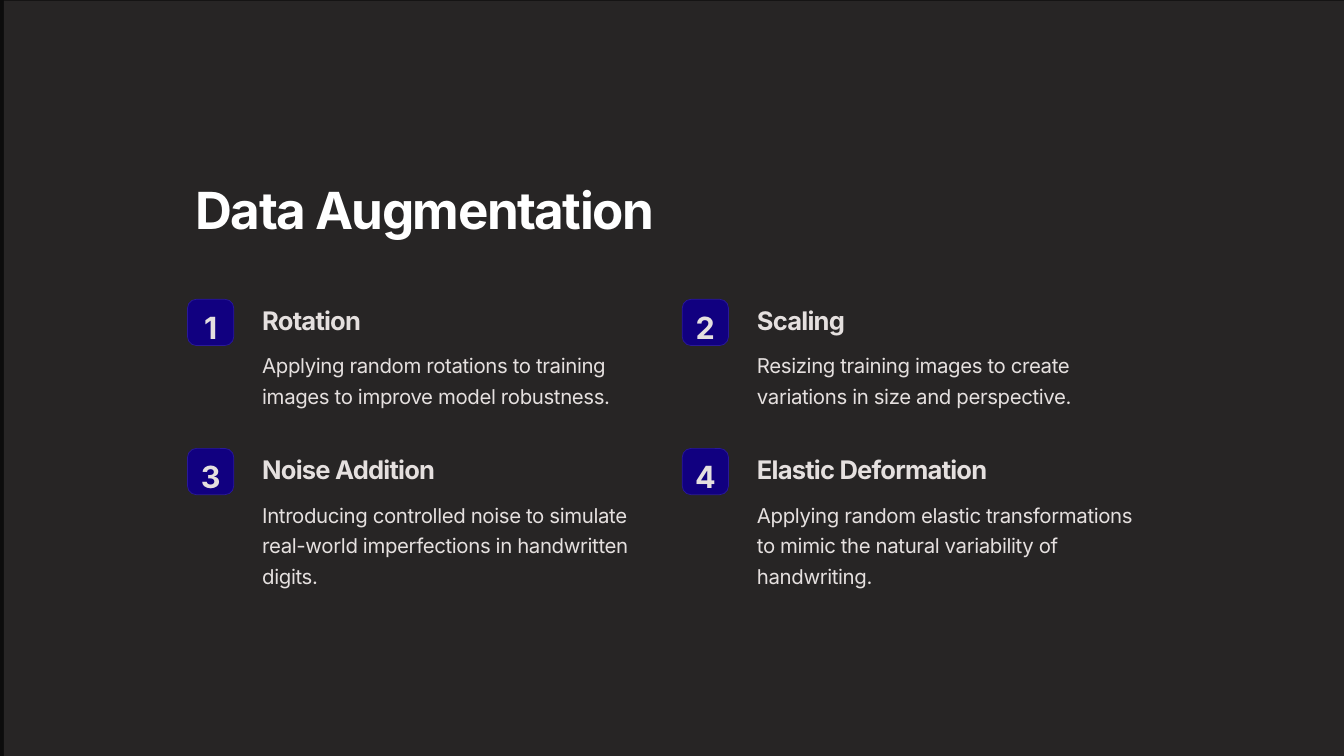
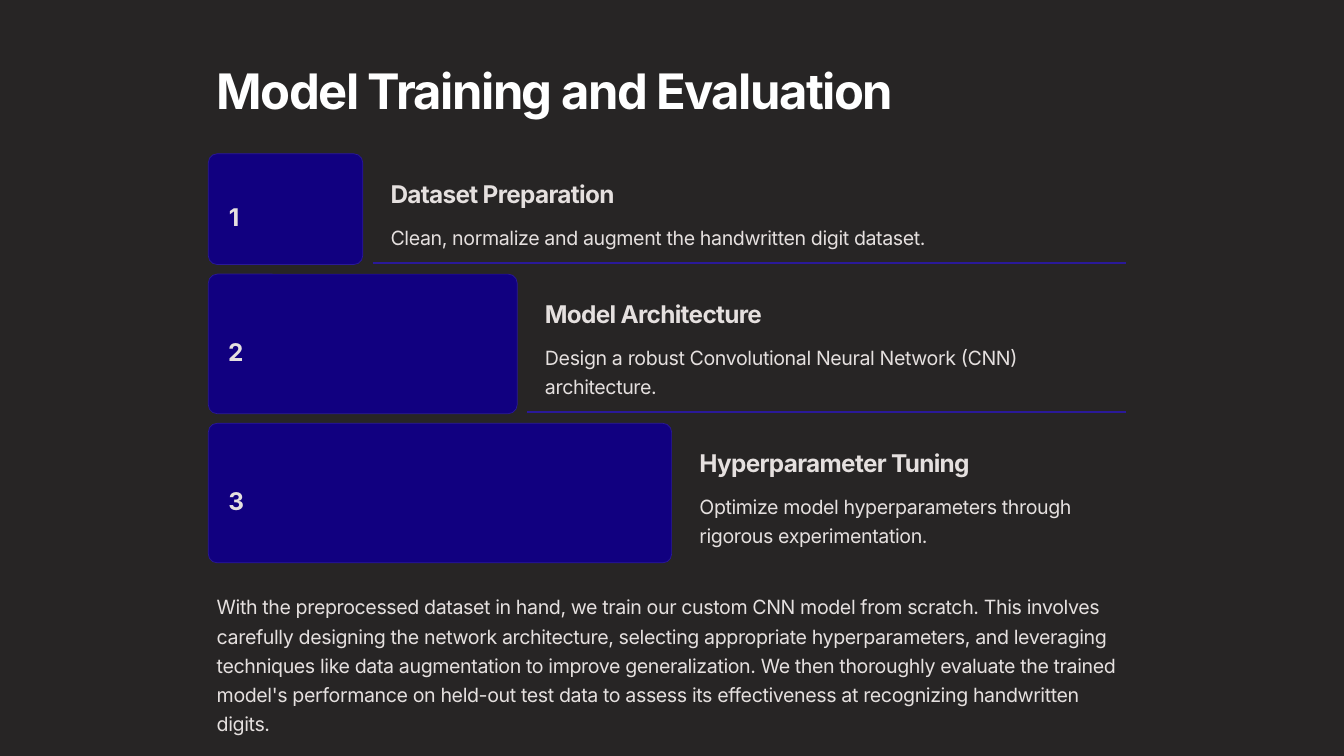
from dataclasses import dataclass

from lxml.etree import SubElement
from pptx import Presentation
from pptx.dml.color import RGBColor
from pptx.enum.shapes import MSO_CONNECTOR, MSO_SHAPE
from pptx.enum.text import MSO_ANCHOR, MSO_AUTO_SIZE, PP_ALIGN
from pptx.oxml.ns import qn
from pptx.util import Cm, Pt

# Shared look; all plain lengths are centimetres
FONT = "Inter"
WHITE, TEXT = "FFFFFF", "E5E0DF"
EDGE, PANEL = "0C0C0C", "272525"
BLUE, OUTLINE = "110080", "2A1999"
SLIDE_WIDTH, SLIDE_HEIGHT = 40.64, 22.86
CONTENT_WIDTH = 28.04
CORNER_RADIUS = 0.27
DIGIT_WIDTHS = {"1": 0.43, "2": 0.56, "3": 0.58, "4": 0.61}  # at 26.2 pt


@dataclass(frozen=True)
class TextStyle:
    size: float
    line: float
    tracking: float
    bold: bool = True
    color: str = TEXT


@dataclass(frozen=True)
class Box:
    left: float
    top: float
    width: float
    height: float

    def lengths(self) -> tuple:
        return Cm(self.left), Cm(self.top), Cm(self.width), Cm(self.height)


@dataclass(frozen=True)
class Item:
    number: str
    heading: str
    description: str
    lines: int


GRID_TITLE = TextStyle(43.8, 54.7, -1.31, color=WHITE)
GRID_NUMBER = TextStyle(26.2, 32.8, -0.8)
GRID_HEADING = TextStyle(21.9, 27.4, -0.7)
GRID_BODY = TextStyle(17.5, 26.2, -0.35, bold=False)
STEP_TITLE = TextStyle(41.9, 52.3, -1.3, color=WHITE)
STEP_NUMBER = TextStyle(20.9, 31.4, -0.6)
STEP_HEADING = TextStyle(20.9, 26.1, -0.6)
STEP_BODY = TextStyle(16.8, 25.1, -0.34, bold=False)

METHODS = [
    Item("1", "Rotation", "Applying random rotations to training images "
         "to improve model robustness.", 2),
    Item("2", "Scaling", "Resizing training images to create variations "
         "in size and perspective.", 2),
    Item("3", "Noise Addition", "Introducing controlled noise to simulate "
         "real-world imperfections in handwritten digits.", 3),
    Item("4", "Elastic Deformation", "Applying random elastic transformations "
         "to mimic the natural variability of handwriting.", 3),
]
STEPS = [
    Item("1", "Dataset Preparation",
         "Clean, normalize and augment the handwritten digit dataset.", 1),
    Item("2", "Model Architecture",
         "Design a robust Convolutional Neural Network (CNN) architecture.", 2),
    Item("3", "Hyperparameter Tuning",
         "Optimize model hyperparameters through rigorous experimentation.", 2),
]
SUMMARY = (
    "With the preprocessed dataset in hand, we train our custom CNN model from "
    "scratch. This involves carefully designing the network architecture, "
    "selecting appropriate hyperparameters, and leveraging techniques like data "
    "augmentation to improve generalization. We then thoroughly evaluate the "
    "trained model's performance on held-out test data to assess its "
    "effectiveness at recognizing handwritten digits."
)


def rgb(color: str) -> RGBColor:
    return RGBColor.from_string(color)


def write(shape, box: Box, text: str, style: TextStyle, wrap: bool = False,
          align: PP_ALIGN = PP_ALIGN.LEFT) -> None:
    """Place a text box or placeholder and format its one paragraph."""
    shape.left, shape.top, shape.width, shape.height = box.lengths()
    frame = shape.text_frame
    frame.auto_size = MSO_AUTO_SIZE.NONE
    frame.vertical_anchor = MSO_ANCHOR.TOP
    frame.word_wrap = wrap
    frame.text = text
    paragraph = frame.paragraphs[0]
    paragraph.alignment = align
    paragraph.line_spacing = Pt(style.line)
    paragraph.space_before = Pt(0)
    if shape.is_placeholder:
        properties = paragraph._p.get_or_add_pPr()
        properties.set("marL", "0")
        properties.set("indent", "0")
        SubElement(properties, qn("a:buNone"))
    font = paragraph.font
    font.name, font.size, font.bold = FONT, Pt(style.size), style.bold
    font.color.rgb = rgb(style.color)
    font._rPr.set("spc", str(round(style.tracking * 100)))


def add_text(slide, box: Box, text: str, style: TextStyle, wrap: bool = False,
             align: PP_ALIGN = PP_ALIGN.LEFT) -> None:
    write(slide.shapes.add_textbox(*box.lengths()), box, text, style, wrap, align)


def digit_width(number: str, style: TextStyle) -> float:
    return DIGIT_WIDTHS[number] * style.size / GRID_NUMBER.size


def add_number(slide, center: float, middle: float, number: str,
               style: TextStyle, height: float) -> None:
    width = digit_width(number, style)
    box = Box(center - width / 2, middle - height / 2, width, height)
    add_text(slide, box, number, style, align=PP_ALIGN.CENTER)


def add_block(slide, box: Box) -> None:
    """Blue block with the same corner radius at every size."""
    shape = slide.shapes.add_shape(MSO_SHAPE.ROUNDED_RECTANGLE, *box.lengths())
    shape.adjustments[0] = CORNER_RADIUS / min(box.width, box.height)
    shape.shadow.inherit = False
    shape.fill.solid()
    shape.fill.fore_color.rgb = rgb(BLUE)
    shape.line.color.rgb = rgb(OUTLINE)
    shape.line.width = Pt(0.6)


def add_divider(slide, left: float, right: float, y: float) -> None:
    line = slide.shapes.add_connector(
        MSO_CONNECTOR.STRAIGHT, Cm(left), Cm(y), Cm(right), Cm(y))
    line.line.color.rgb = rgb(OUTLINE)
    line.line.width = Pt(1.5)
    SubElement(line._element.spPr, qn("a:effectLst"))


def add_slide(presentation, layout: int, background: str):
    slide = presentation.slides.add_slide(presentation.slide_layouts[layout])
    slide.background.fill.solid()
    slide.background.fill.fore_color.rgb = rgb(background)
    return slide


def build_augmentation(presentation) -> None:
    slide = add_slide(presentation, 5, EDGE)

    # Panel behind the title, leaving a thin dark edge
    left, top = 0.12, 0.02
    box = Box(left, top, SLIDE_WIDTH - left, SLIDE_HEIGHT - top)
    panel = slide.shapes.add_shape(MSO_SHAPE.RECTANGLE, *box.lengths())
    panel.shadow.inherit = False
    panel.fill.solid()
    panel.fill.fore_color.rgb = rgb(PANEL)
    panel.line.fill.background()
    slide.shapes._spTree.insert(2, panel._element)

    write(slide.shapes.title, Box(5.66, 5.2, 15.44, 1.93),
          "Data Augmentation", GRID_TITLE)

    # Two by two grid of methods
    badge = 1.4
    for index, method in enumerate(METHODS):
        row, column = divmod(index, 2)
        left, top = 5.67 + column * 14.96, 9.05 + row * 4.51
        text_left = left + 2.01
        add_block(slide, Box(left, top, badge, badge))
        add_number(slide, left + badge / 2, top + badge / 2, method.number,
                   GRID_NUMBER, 1.17)
        add_text(slide, Box(text_left, top, 7.72, 0.97),
                 method.heading, GRID_HEADING)
        add_text(slide, Box(text_left, top + 1.33, 12.34, method.lines * 0.92),
                 method.description, GRID_BODY, wrap=True)


def build_training(presentation) -> None:
    slide = add_slide(presentation, 1, PANEL)
    left, top = 6.3, 4.65
    write(slide.shapes.title, Box(left, 1.63, CONTENT_WIDTH, 1.85),
          "Model Training and Evaluation", STEP_TITLE)

    # Steps, each bar one unit longer than the last
    for index, step in enumerate(STEPS, start=1):
        width, height = index * 4.67, 2.48 + step.lines * 0.87
        right, bottom = left + width, top + height
        text_left = right + 0.59
        add_block(slide, Box(left, top, width, height))
        center = left + 0.61 + digit_width(step.number, STEP_NUMBER) / 2
        add_number(slide, center, top + height / 2, step.number,
                   STEP_NUMBER, 1.12)
        add_text(slide, Box(text_left, top + 0.6, 7.39, 0.91),
                 step.heading, STEP_HEADING)
        add_text(slide, Box(text_left, top + 1.87, 33.76 - text_left,
                            step.lines * 0.89),
                 step.description, STEP_BODY, wrap=True)
        if index < len(STEPS):
            add_divider(slide, right + 0.3, 34.06, bottom - 0.05)
        top = bottom + 0.29

    # Closing paragraph
    write(slide.placeholders[1], Box(left, 17.7, CONTENT_WIDTH, 3.53),
          SUMMARY, STEP_BODY, wrap=True)


def main() -> None:
    presentation = Presentation()
    presentation.slide_width = Cm(SLIDE_WIDTH)
    presentation.slide_height = Cm(SLIDE_HEIGHT)
    build_augmentation(presentation)
    build_training(presentation)
    presentation.save("out.pptx")


if __name__ == "__main__":
    main()
